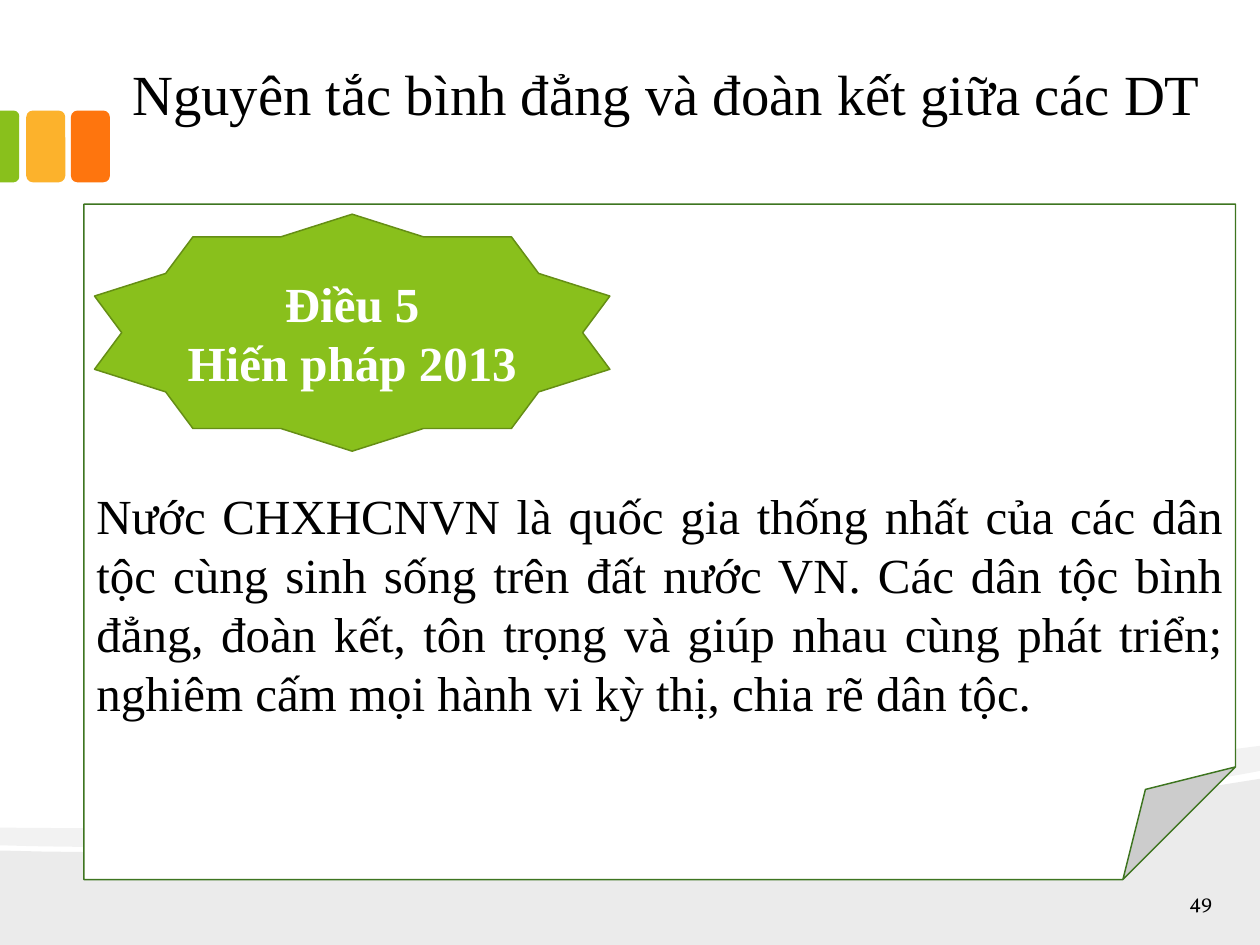
from lxml import etree
from pptx import Presentation
from pptx.dml.color import RGBColor
from pptx.enum import shapes as sh, text as tx
from pptx.oxml.ns import qn
from pptx.util import Pt

# Content
TITLE = "Nguyên tắc bình đẳng và đoàn kết giữa các DT"
ARTICLE = ["Điều 5", "Hiến pháp 2013"]
BODY = ("Nước CHXHCNVN là quốc gia thống nhất của các dân tộc cùng sinh sống trên đất "
        "nước VN. Các dân tộc bình đẳng, đoàn kết, tôn trọng và giúp nhau cùng phát "
        "triển; nghiêm cấm mọi hành vi kỳ thị, chia rẽ dân tộc.")
PAGE = "49"
SERIF, NUMERAL = "Times New Roman", "Vollkorn"
WIDTH, HEIGHT = 720, 540

# Background waves: opacity in percent, then parts; 2 numbers a line, 6 a curve
WAVES = [
    (8, [(720, 445), (720, 540), (0, 540), (0, 486),
         (190, 491.8, 563, 471.6, 720, 445)]),
    (5, [(720, 426.2), (720, 440.6), (678.2, 448.6, 620.6, 455.8, 555.8, 461.5),
         (376.6, 477.4, 139, 487.4, 0, 483.1), (0, 473),
         (352.1, 476.6, 524.2, 451.4, 720, 426.2)]),
]
TABS = [(40.5, "FE750E"), (15, "FCB22C")]  # left edge, colour

deck = Presentation()
deck.slide_width, deck.slide_height = Pt(WIDTH), Pt(HEIGHT)
slide = deck.slides.add_slide(deck.slide_layouts[6])


def color(hex_value):
    return RGBColor.from_string(hex_value)


def paint(shape, fill, line=None):
    shape.shadow.inherit = False
    shape.fill.solid()
    shape.fill.fore_color.rgb = color(fill)
    if line:
        shape.line.color.rgb = color(line)
        shape.line.width = Pt(0.85)
    else:
        shape.line.fill.background()
    return shape


def add_preset(kind, box, fill, line=None):
    return paint(slide.shapes.add_shape(kind, *map(Pt, box)), fill, line)


def write(shape, lines, size, align, anchor, insets=(7.2, 3.6, 7.2, 3.6),
          font=SERIF, ink="000000", bold=False):
    frame = shape.text_frame
    frame.word_wrap = True
    frame.vertical_anchor = anchor
    (frame.margin_left, frame.margin_top,
     frame.margin_right, frame.margin_bottom) = map(Pt, insets)
    frame.text = "\n".join(lines)
    for paragraph in frame.paragraphs:
        paragraph.alignment = align
        paragraph.font.name = font
        paragraph.font.size = Pt(size)
        paragraph.font.bold = bold
        paragraph.font.color.rgb = color(ink)


def trace(parts, steps=24):
    """Turn lines and cubic curves into a list of points."""
    points = []
    for part in parts:
        if len(part) == 2:
            points.append(part)
            continue
        a, b, c, d = points[-1], part[:2], part[2:4], part[4:]
        for t in (i / steps for i in range(1, steps + 1)):
            s = 1 - t
            points.append(tuple(s**3 * a[k] + 3 * s * s * t * b[k]
                                + 3 * s * t * t * c[k] + t**3 * d[k] for k in (0, 1)))
    return points


# Waves
for opacity, parts in WAVES:
    points = [(Pt(x), Pt(y)) for x, y in trace(parts)]
    builder = slide.shapes.build_freeform(*points[0])
    builder.add_line_segments(points[1:], close=True)
    wave = paint(builder.convert_to_shape(), "000000")
    tint = wave.fill._xPr.find(qn("a:solidFill"))[0]
    etree.SubElement(tint, qn("a:alpha"), val=str(opacity * 1000))

# Coloured tabs; the last one lies on its side at the slide's edge
for left, fill in TABS:
    add_preset(sh.MSO_SHAPE.ROUNDED_RECTANGLE, (left, 63.2, 22.3, 41), fill)
edge_tab = add_preset(sh.MSO_SHAPE.ROUND_2_SAME_RECTANGLE, (-15, 78.2, 41, 11), "89C01C")
edge_tab.adjustments[0] = 0.29
edge_tab.rotation = 90

# Title and page number
EDGE = (9.4, 5, 9.4, 5)
title = slide.shapes.add_textbox(*map(Pt, (66.2, 29.5, 645.8, 48.2)))
write(title, [TITLE], 32.4, tx.PP_ALIGN.LEFT, tx.MSO_ANCHOR.BOTTOM, EDGE)
number = slide.shapes.add_textbox(*map(Pt, (653.8, 507.6, 48.2, 14.4)))
write(number, [PAGE], 12, tx.PP_ALIGN.RIGHT, tx.MSO_ANCHOR.MIDDLE, EDGE, NUMERAL)

# Folded note with the article's text below the star
note = add_preset(sh.MSO_SHAPE.FOLDED_CORNER, (48, 116.6, 658, 386), "FFFFFF", "3E7520")
write(note, [BODY], 28, tx.PP_ALIGN.JUSTIFY, tx.MSO_ANCHOR.TOP, (7.2, 161, 7.2, 3.6))
star = add_preset(sh.MSO_SHAPE.STAR_10_POINT, (54, 122.4, 294.5, 135.4), "89C01C", "658E15")
write(star, ARTICLE, 28, tx.PP_ALIGN.CENTER, tx.MSO_ANCHOR.MIDDLE, ink="FFFFFF", bold=True)

deck.save("out.pptx")
